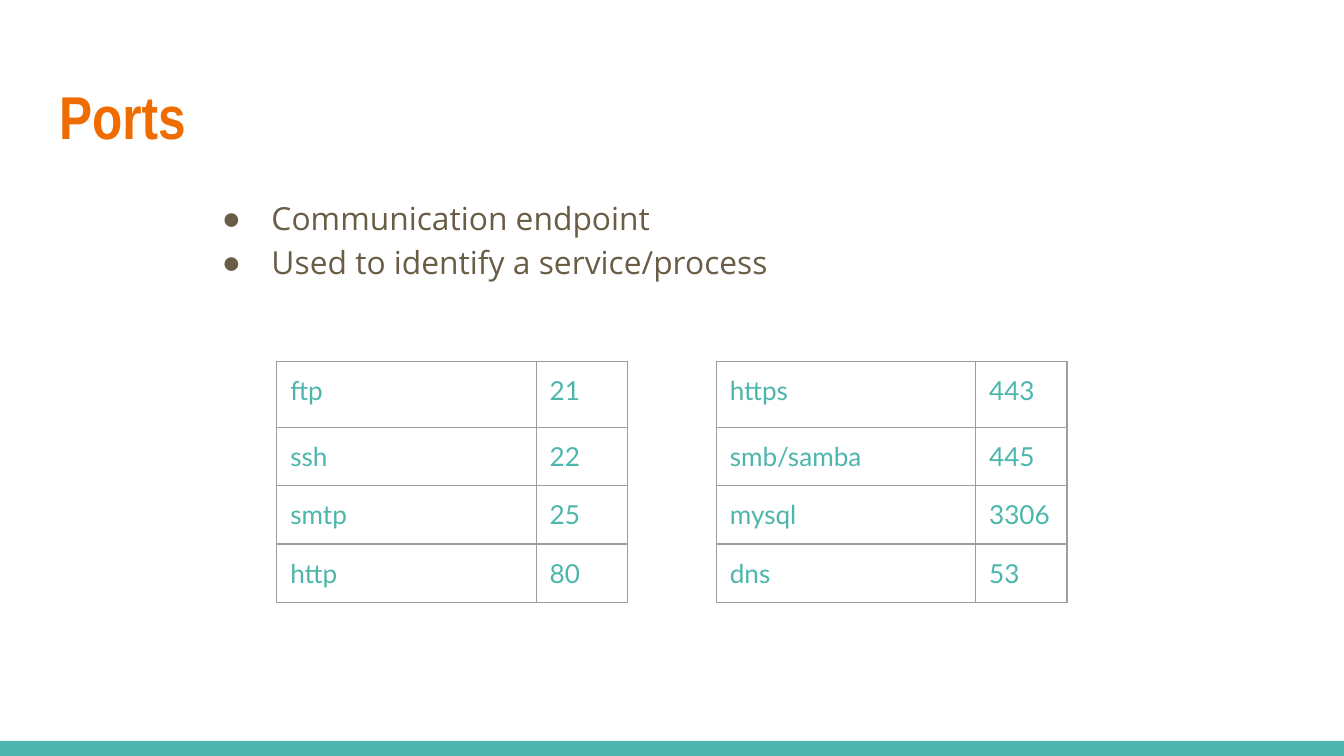
"""Build the Ports slide: title, two bullets and two port tables."""
from lxml.etree import SubElement
from pptx import Presentation
from pptx.dml.color import RGBColor
from pptx.enum.shapes import MSO_SHAPE
from pptx.enum.text import MSO_ANCHOR, MSO_AUTO_SIZE, PP_ALIGN
from pptx.oxml.ns import qn
from pptx.util import Inches, Pt

TEAL = RGBColor(0x4D, 0xB6, 0xAC)
ORANGE = RGBColor(0xEF, 0x6C, 0x00)
BROWN = RGBColor(0x69, 0x5D, 0x46)
GREY = RGBColor(0x9E, 0x9E, 0x9E)
PAD = Inches(0.1)
COLS = [1.93, 0.68]
ROWS = [0.49, 0.43, 0.43, 0.43]
LEFT, TOP, STEP = 2.06, 2.69, 3.27
PORTS = [
    [("ftp", "21"), ("ssh", "22"), ("smtp", "25"), ("http", "80")],
    [("https", "443"), ("smb/samba", "445"), ("mysql", "3306"), ("dns", "53")],
]
POINTS = ["Communication endpoint", "Used to identify a service/process"]


def write(para, text, face, size, color, bold=False):
    run = para.add_run()
    run.text = text
    font = run.font
    font.name, font.size, font.bold = face, Pt(size), bold
    font.color.rgb = color


def place(holder, box):
    holder.left, holder.top, holder.width, holder.height = map(Inches, box)
    frame = holder.text_frame
    frame.auto_size, frame.word_wrap = MSO_AUTO_SIZE.NONE, True
    frame.margin_left = frame.margin_right = PAD
    frame.margin_top = frame.margin_bottom = PAD
    frame.vertical_anchor = MSO_ANCHOR.TOP
    return frame


deck = Presentation()
deck.slide_width = Inches(10)
deck.slide_height = deck.slide_width * 9 // 16
slide = deck.slides.add_slide(deck.slide_layouts[1])

high = int(deck.slide_height * 0.02)
bar = slide.shapes.add_shape(
    MSO_SHAPE.RECTANGLE, 0, deck.slide_height - high, deck.slide_width, high)
bar.shadow.inherit = False
bar.fill.solid()
bar.fill.fore_color.rgb = TEAL
bar.line.fill.background()

title = place(slide.shapes.title, (0.34, 0.49, 9.32, 0.77))
title.paragraphs[0].alignment = PP_ALIGN.LEFT
write(title.paragraphs[0], "Ports", "Arial Narrow", 32.4, ORANGE, True)

body = place(slide.placeholders[1], (1.42, 1.34, 7.7, 3.18))
for i, text in enumerate(POINTS):
    para = body.add_paragraph() if i else body.paragraphs[0]
    para.line_spacing = 1.15
    para.space_before = para.space_after = Pt(0)
    props = para._p.get_or_add_pPr()
    props.set("marL", str(Inches(0.5)))
    props.set("indent", str(Inches(-0.37)))
    tint = SubElement(props, qn("a:buClr"))
    SubElement(tint, qn("a:srgbClr"), val=str(BROWN))
    SubElement(props, qn("a:buFont"), typeface="Arial")
    SubElement(props, qn("a:buChar"), char="●")
    write(para, text, "Open Sans", 17, BROWN)

for i, ports in enumerate(PORTS):
    grid = slide.shapes.add_table(
        len(ROWS), len(COLS), Inches(LEFT + i * STEP), Inches(TOP),
        Inches(sum(COLS)), Inches(sum(ROWS))).table
    grid.first_row = grid.horz_banding = False
    for col, wide in zip(grid.columns, COLS):
        col.width = Inches(wide)
    for row, tall, pair in zip(grid.rows, ROWS, ports):
        row.height = Inches(tall)
        for cell, text in zip(row.cells, pair):
            cell.margin_left = cell.margin_right = PAD
            cell.margin_top = cell.margin_bottom = PAD
            props = cell._tc.get_or_add_tcPr()
            for side in ("a:lnL", "a:lnR", "a:lnT", "a:lnB"):
                edge = SubElement(props, qn(side), w=str(Pt(0.75)))
                fill = SubElement(edge, qn("a:solidFill"))
                SubElement(fill, qn("a:srgbClr"), val=str(GREY))
            cell.fill.background()
            write(cell.text_frame.paragraphs[0], text, "Lato", 14, TEAL)

deck.save("out.pptx")
